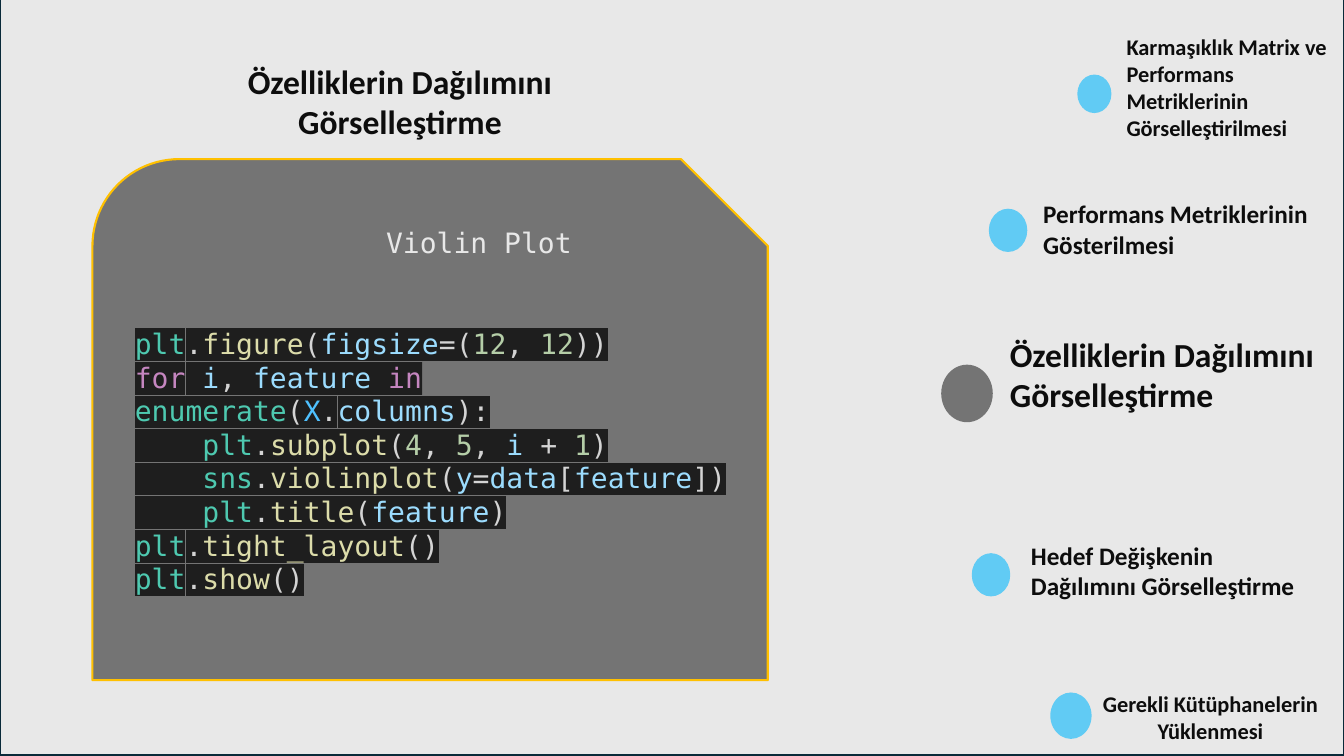
import itertools

import pptx
import pptx.dml.color
import pptx.enum.shapes
import pptx.enum.text
import pptx.oxml
import pptx.oxml.ns
import pptx.util

Cm = pptx.util.Cm
Pt = pptx.util.Pt
SHAPES = pptx.enum.shapes.MSO_SHAPE
ALIGN = pptx.enum.text.PP_ALIGN

CODE = """plt.figure(figsize=(12, 12))
for i, feature in enumerate(X.columns):
    plt.subplot(4, 5, i + 1)
    sns.violinplot(y=data[feature])
    plt.title(feature)
plt.tight_layout()
plt.show()"""

CODE_COLOURS = {
    "4EC9B0": "plt sns enumerate",
    "DCDCAA": "figure subplot violinplot title tight_layout show",
    "9CDCFE": "figsize i feature columns y data",
    "C586C0": "for in",
    "4FC1FF": "X",
    "B5CEA8": "12 4 5 1",
}
WORD_COLOURS = {word: colour for colour, words in CODE_COLOURS.items()
                for word in words.split()}


def rgb(value):
    return pptx.dml.color.RGBColor.from_string(value)


def is_word_character(character):
    return character.isalnum() or character == "_"


def code_tokens(line):
    """Yield each word or run of punctuation with its colour."""
    for _, characters in itertools.groupby(line, is_word_character):
        token = "".join(characters)
        yield token, WORD_COLOURS.get(token, "D4D4D4")


def add_run(paragraph, text, size, font, colour, bold=False, highlight=None):
    run = paragraph.add_run()
    run.text = text
    run.font.size = Pt(size)
    run.font.name = font
    run.font.bold = bold
    run.font.color.rgb = rgb(colour)
    if highlight:
        mark = pptx.oxml.parse_xml(
            f'<a:highlight {pptx.oxml.ns.nsdecls("a")}>'
            f'<a:srgbClr val="{highlight}"/></a:highlight>')
        run.font.fill._xPr.find(pptx.oxml.ns.qn("a:solidFill")).addnext(mark)


class SlideBuilder:
    heading_font = "Calibri"
    code_font = "DejaVu Sans Mono"
    ink = "0D0D0D"
    light = "E8E8E8"
    grey = "747474"
    blue = "61CBF4"

    def __init__(self, slide):
        self.slide = slide

    def shape(self, kind, left, top, width, height, fill, line=None):
        shape = self.slide.shapes.add_shape(
            kind, Cm(left), Cm(top), Cm(width), Cm(height))
        shape.shadow.inherit = False
        shape.fill.solid()
        shape.fill.fore_color.rgb = rgb(fill)
        if line:
            shape.line.color.rgb = rgb(line)
            shape.line.width = Pt(1.5)
        else:
            shape.line.fill.background()

    def text_frame(self, left, top, width, height):
        box = self.slide.shapes.add_textbox(
            Cm(left), Cm(top), Cm(width), Cm(height))
        box.text_frame.word_wrap = True
        return box.text_frame

    def heading(self, text, left, top, width, height, size, align=ALIGN.LEFT):
        paragraph = self.text_frame(left, top, width, height).paragraphs[0]
        paragraph.alignment = align
        add_run(paragraph, text, size, self.heading_font, self.ink, bold=True)

    def code(self, title, source, left, top, width, height):
        frame = self.text_frame(left, top, width, height)
        caption = frame.paragraphs[0]
        caption.line_spacing = Pt(24)
        caption._p.get_or_add_pPr().set("marL", str(Cm(6.33)))
        add_run(caption, title, 20, self.code_font, self.light)
        for number, line in enumerate(source.splitlines()):
            paragraph = frame.add_paragraph()
            paragraph.line_spacing = Pt(24)
            if number == 0:
                paragraph.space_before = Pt(48)
            for token, colour in code_tokens(line):
                add_run(paragraph, token, 20, self.code_font, colour,
                        highlight="1E1E1E")


def main():
    presentation = pptx.Presentation()
    presentation.slide_width = Cm(33.87)
    presentation.slide_height = Cm(19.05)
    builder = SlideBuilder(
        presentation.slides.add_slide(presentation.slide_layouts[6]))

    builder.shape(SHAPES.RECTANGLE, 0, -0.03, 33.87, 19.05,
                  builder.light, "092A39")
    builder.shape(SHAPES.SNIP_ROUND_RECTANGLE, 2.33, 4.01, 17.02, 13.13,
                  builder.grey, "FFC000")
    builder.heading("Özelliklerin Dağılımını Görselleştirme",
                    3.38, 1.4, 13.4, 3.07, 24, ALIGN.CENTER)
    builder.code("Violin Plot", CODE, 3.15, 5.56, 17.02, 9.5)

    # Each step: dot (left, top, width, height, colour), then its heading.
    steps = [
        ((27.15, 1.88, 0.86, 0.97, builder.blue),
         ("Karmaşıklık Matrix ve Performans Metriklerinin Görselleştirilmesi",
          28.14, 0.71, 5.89, 3.76, 16)),
        ((24.92, 5.26, 0.97, 1.09, builder.blue),
         ("Performans Metriklerinin Gösterilmesi",
          26.04, 4.88, 7.65, 2.57, 18)),
        ((23.72, 9.19, 1.3, 1.45, builder.grey),
         ("Özelliklerin Dağılımını Görselleştirme",
          25.2, 8.28, 8.18, 4.11, 24)),
        ((24.49, 13.94, 0.97, 1.09, builder.blue),
         ("Hedef Değişkenin Dağılımını Görselleştirme",
          25.73, 13.49, 7.65, 2.57, 18)),
        ((26.47, 17.45, 1.04, 1.17, builder.blue),
         ("Gerekli Kütüphanelerin Yüklenmesi",
          27.05, 17.27, 6.91, 1.63, 16, ALIGN.CENTER)),
    ]
    for dot, heading in steps:
        builder.shape(SHAPES.FLOWCHART_CONNECTOR, *dot)
        builder.heading(*heading)

    presentation.save("out.pptx")


if __name__ == "__main__":
    main()
